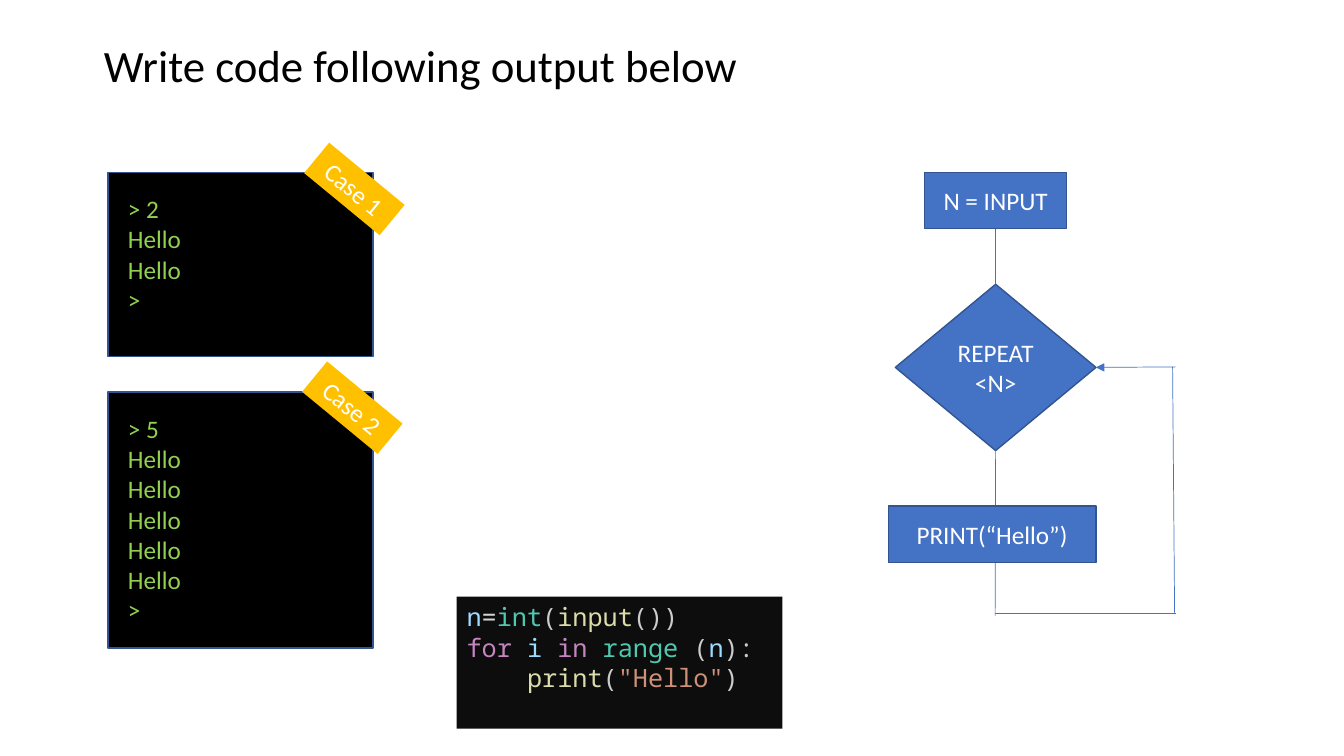
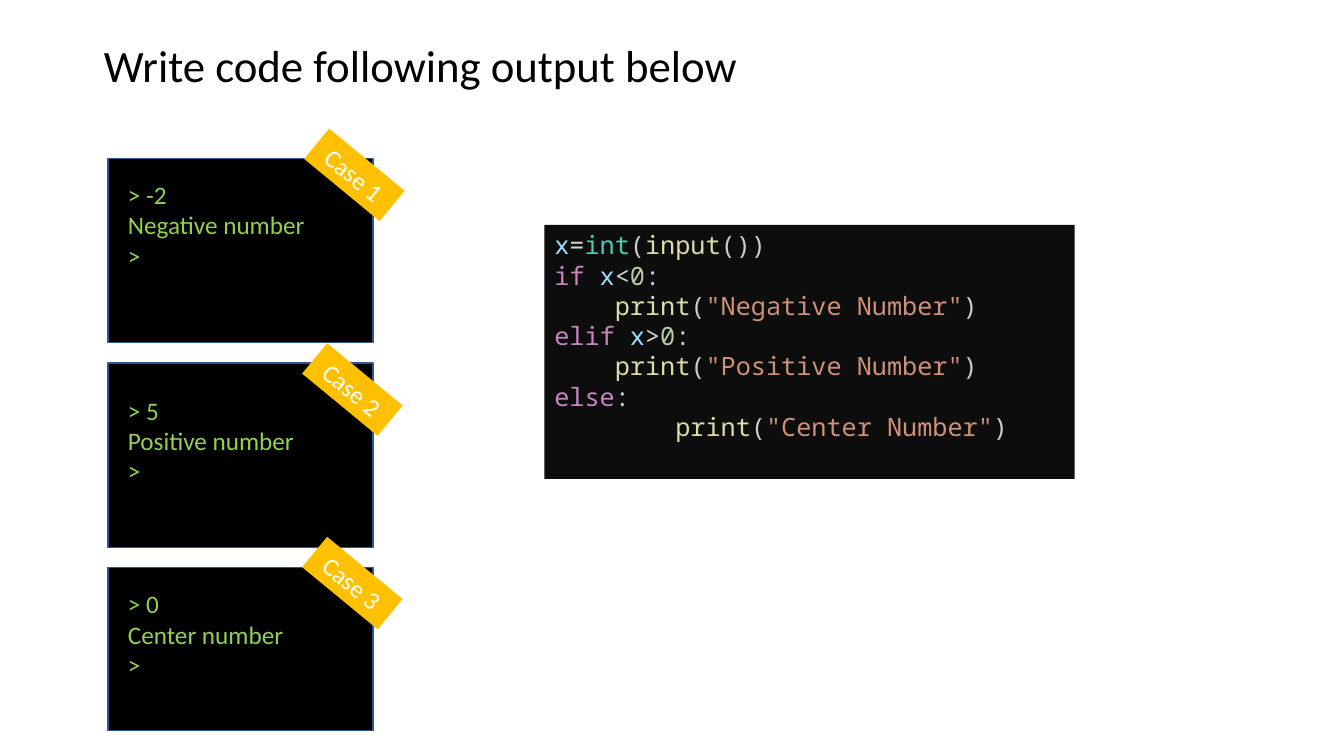
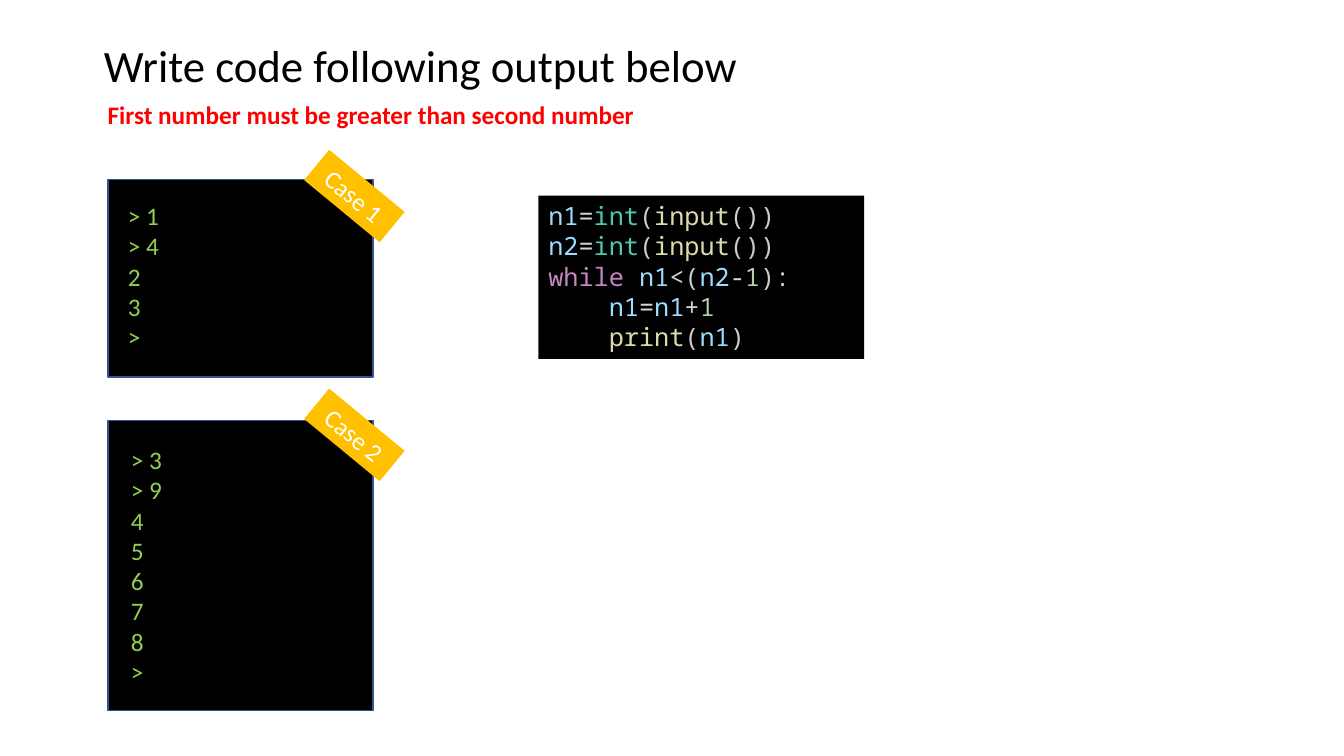
from lxml import etree
from pptx import Presentation
from pptx.dml.color import RGBColor
from pptx.enum.shapes import MSO_CONNECTOR, MSO_SHAPE
from pptx.enum.text import MSO_ANCHOR, MSO_AUTO_SIZE, PP_ALIGN
from pptx.oxml.ns import qn
from pptx.util import Inches, Pt

RECTANGLE, DIAMOND = MSO_SHAPE.RECTANGLE, MSO_SHAPE.DIAMOND
STRAIGHT = MSO_CONNECTOR.STRAIGHT
TOP, MIDDLE = MSO_ANCHOR.TOP, MSO_ANCHOR.MIDDLE
LEFT, CENTER = PP_ALIGN.LEFT, PP_ALIGN.CENTER
NO_AUTOFIT = MSO_AUTO_SIZE.NONE
SITE_TOP, SITE_BOTTOM, SITE_RIGHT = 0, 2, 3

BLACK = RGBColor(0x00, 0x00, 0x00)
WHITE = RGBColor(0xFF, 0xFF, 0xFF)
RED = RGBColor(0xFF, 0x00, 0x00)
BLUE = RGBColor(0x44, 0x72, 0xC4)
DARK_BLUE = RGBColor(0x32, 0x54, 0x91)
AMBER = RGBColor(0xFF, 0xC0, 0x00)
TERMINAL_GREEN = RGBColor(0x92, 0xD0, 0x50)
EDITOR_BLACK = RGBColor(0x0D, 0x0D, 0x0D)

VARIABLE = RGBColor(0x9C, 0xDC, 0xFE)
OPERATOR = RGBColor(0xD4, 0xD4, 0xD4)
PUNCTUATION = RGBColor(0xCC, 0xCC, 0xCC)
KEYWORD = RGBColor(0xC5, 0x86, 0xC0)
TYPE = RGBColor(0x4E, 0xC9, 0xB0)
FUNCTION = RGBColor(0xDC, 0xDC, 0xAA)
NUMBER = RGBColor(0xB5, 0xCE, 0xA8)
STRING = RGBColor(0xCE, 0x91, 0x78)
TOKEN_COLORS = {
    **dict.fromkeys(("for", "in", "if", "elif", "else", "while"), KEYWORD),
    **dict.fromkeys(("int", "range"), TYPE),
    **dict.fromkeys(("input", "print"), FUNCTION),
    **dict.fromkeys("=<>+-", OPERATOR),
}

BODY_FONT, CODE_FONT = "Calibri", "Noto Sans Mono"
TITLE = "Write code following output below"
LINE_HEIGHT = 0.303
CODE_LINE_PITCH = Pt(21.6)
CODE_INDENT = Inches(0.6)
TERMINAL_LEFT, TERMINAL_WIDTH = 1.07, 2.63
TAG_WIDTH, TAG_HEIGHT, TAG_ANGLE = 0.97, 0.39, 39.5


def inches(*lengths):
    return [Inches(length) for length in lengths]


def write(shape, lines, color=WHITE, size=18, font=BODY_FONT, bold=False,
          align=LEFT, anchor=TOP, wrap=True, pitch=None):
    """Fill a shape; each line is a string or a list of (text, color) runs."""
    frame = shape.text_frame
    frame.auto_size = NO_AUTOFIT
    frame.word_wrap = wrap
    frame.vertical_anchor = anchor
    for number, line in enumerate(lines):
        paragraph = frame.add_paragraph() if number else frame.paragraphs[0]
        paragraph.alignment = align
        if pitch:
            paragraph.line_spacing = pitch
        for text, run_color in [(line, color)] if isinstance(line, str) else line:
            run = paragraph.add_run()
            run.text = text
            run.font.name = font
            run.font.size = Pt(size)
            run.font.bold = bold
            run.font.color.rgb = run_color


def add_title_slide(deck):
    slide = deck.slides.add_slide(deck.slide_layouts.get_by_name("Title Only"))
    title = slide.shapes.title
    title.left, title.top, title.width, title.height = inches(0.93, 0.32, 6.55, 0.64)
    write(title, [TITLE], color=BLACK, size=32, wrap=False)
    return slide


def add_box(slide, box, fill, outline=None, kind=RECTANGLE):
    shape = slide.shapes.add_shape(kind, *inches(*box))
    shape.shadow.inherit = False
    shape.fill.solid()
    shape.fill.fore_color.rgb = fill
    if outline is None:
        shape.line.fill.background()
    else:
        shape.line.color.rgb = outline
        shape.line.width = Pt(1)
    return shape


def add_label(slide, lines, left, top, width, **text_format):
    height = len(lines) * LINE_HEIGHT + 0.1
    label = slide.shapes.add_textbox(*inches(left, top, width, height))
    write(label, lines, wrap=False, **text_format)


def add_case(slide, number, lines, top, height, text_at, tag_at):
    """Draw a terminal; text_at is left, top, width and tag_at is left, top."""
    add_box(slide, (TERMINAL_LEFT, top, TERMINAL_WIDTH, height), BLACK, DARK_BLUE)
    add_label(slide, lines, *text_at, color=TERMINAL_GREEN)
    tag = add_box(slide, (*tag_at, TAG_WIDTH, TAG_HEIGHT), AMBER)
    tag.rotation = TAG_ANGLE
    write(tag, [f"Case {number}"], align=CENTER, anchor=MIDDLE)


def token_color(token):
    word = token.strip()
    if word in TOKEN_COLORS:
        return TOKEN_COLORS[word]
    if word.startswith('"'):
        return STRING
    if word.isdigit():
        return NUMBER
    return VARIABLE if word.isalnum() else PUNCTUATION


def add_code(slide, box, lines, fill=EDITOR_BLACK):
    """Draw highlighted code; bars part the tokens, four spaces make an indent."""
    code = add_box(slide, box, fill)
    colored = [[(token, token_color(token)) for token in line.lstrip().split("|")]
               for line in lines]
    write(code, colored, font=CODE_FONT, pitch=CODE_LINE_PITCH)
    for paragraph, line in zip(code.text_frame.paragraphs, lines):
        level = (len(line) - len(line.lstrip())) // 4
        if level:
            properties = paragraph._p.get_or_add_pPr()
            properties.set("marL", str(level * CODE_INDENT))
            properties.set("indent", "0")


def add_step(slide, text, box, kind=RECTANGLE):
    step = add_box(slide, box, BLUE, DARK_BLUE, kind)
    write(step, [text], align=CENTER, anchor=MIDDLE)
    return step


def add_flow_line(slide, start, end, begin=None, finish=None, arrow=False):
    """Draw a line; begin and finish are (shape, site) pairs to join."""
    line = slide.shapes.add_connector(STRAIGHT, *inches(*start, *end))
    if begin:
        line.begin_connect(*begin)
    if finish:
        line.end_connect(*finish)
    line.line.color.rgb = BLUE
    line.line.width = Pt(0.5)
    if arrow:
        etree.SubElement(line.line._get_or_add_ln(), qn("a:tailEnd"), type="triangle")
    etree.SubElement(line._element.spPr, qn("a:effectLst"))


def add_flowchart(slide):
    read_n = add_step(slide, "N = INPUT", (9.17, 1.71, 1.41, 0.56))
    repeat = add_step(slide, "REPEAT<N>", (8.88, 2.82, 1.99, 1.65), DIAMOND)
    add_flow_line(slide, (9.87, 2.26), (9.87, 2.82),
                  begin=(read_n, SITE_BOTTOM), finish=(repeat, SITE_TOP))
    add_flow_line(slide, (9.87, 4.46), (9.87, 6.11), begin=(repeat, SITE_BOTTOM))
    add_flow_line(slide, (9.87, 6.09), (11.66, 6.09))
    add_flow_line(slide, (11.63, 3.64), (11.65, 6.09))
    add_flow_line(slide, (11.66, 3.64), (10.87, 3.64),
                  finish=(repeat, SITE_RIGHT), arrow=True)
    add_step(slide, "PRINT(“Hello”)", (8.81, 5.02, 2.06, 0.56))


def build_repeat_slide(deck):
    slide = add_title_slide(deck)
    add_case(slide, 1, ["> 2", *["Hello"] * 2, ">"], 1.71, 1.83,
             (1.17, 1.87, 0.73), (3.03, 1.68))
    add_case(slide, 2, ["> 5", *["Hello"] * 5, ">"], 3.89, 2.54,
             (1.17, 4.05, 0.73), (3.01, 3.85))
    add_flowchart(slide)
    add_code(slide, (4.53, 5.92, 3.23, 1.31), [
        "n|=|int|(|input|())",
        "for |i |in |range| (|n|):",
        '    print|(|"Hello"|)',
    ])


def build_sign_slide(deck):
    slide = add_title_slide(deck)
    add_case(slide, 1, ["> -2", "Negative number", ">"], 1.57, 1.83,
             (1.17, 1.73, 1.98), (3.03, 1.54))
    add_case(slide, 2, ["> 5", "Positive number", ">"], 3.6, 1.83,
             (1.17, 3.87, 1.87), (3.01, 3.67))
    add_case(slide, 3, ["> 0", "Center number", ">"], 5.63, 1.62,
             (1.17, 5.79, 1.76), (3.01, 5.59))
    add_code(slide, (5.4, 2.23, 5.26, 2.52), [
        "x|=|int|(|input|())",
        "if |x|<|0|:",
        '    print|(|"Negative Number"|)',
        "elif |x|>|0|:",
        '    print|(|"Positive Number"|)',
        "else|:",
        '        print|(|"Center Number"|)',
    ])


def build_between_slide(deck):
    slide = add_title_slide(deck)
    add_case(slide, 1, ["> 1", "> 4", "2", "3", ">"], 1.78, 1.96,
             (1.17, 1.94, 0.51), (3.03, 1.75))
    add_case(slide, 2, ["> 3", "> 9", "4", "5", "6", "7", "8", ">"], 4.17, 2.88,
             (1.2, 4.36, 0.51), (3.03, 4.12))
    add_label(slide, ["First number must be greater than second number"],
              0.97, 0.94, 5.46, color=RED, bold=True)
    add_code(slide, (5.34, 1.94, 3.23, 1.62), [
        "n1|=|int|(|input|())",
        "n2|=|int|(|input|())",
        "while |n1|<|(|n2|-|1|):",
        "    n1|=|n1|+|1",
        "    print|(|n1|)",
    ], fill=BLACK)


def main():
    deck = Presentation()
    deck.slide_width, deck.slide_height = inches(13.33, 7.5)
    build_repeat_slide(deck)
    build_sign_slide(deck)
    build_between_slide(deck)
    deck.save("out.pptx")


if __name__ == "__main__":
    main()
